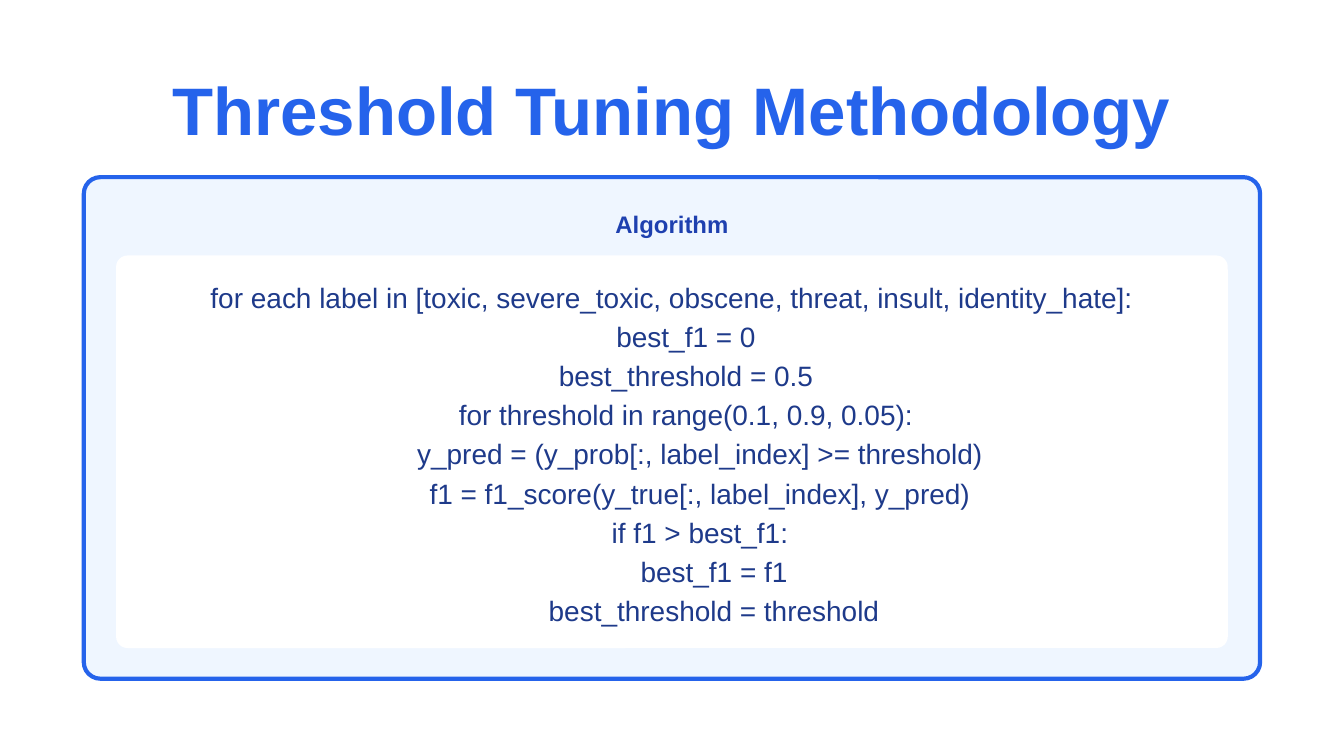
import pptx
import pptx.util
import pptx.dml.color
import pptx.enum.shapes
import pptx.enum.text
from lxml import etree

Cm, Pt = pptx.util.Cm, pptx.util.Pt

# Content
TITLE = "Threshold Tuning Methodology"
PANEL_HEADING = "Algorithm"
CODE = [  # (indent level, line)
    (0, "for each label in [toxic, severe_toxic, obscene, threat, insult, identity_hate]:"),
    (1, "best_f1 = 0"),
    (1, "best_threshold = 0.5"),
    (1, "for threshold in range(0.1, 0.9, 0.05):"),
    (2, "y_pred = (y_prob[:, label_index] >= threshold)"),
    (2, "f1 = f1_score(y_true[:, label_index], y_pred)"),
    (2, "if f1 > best_f1:"),
    (3, "best_f1 = f1"),
    (3, "best_threshold = threshold"),
]

# Layout in cm; every part is centred across the slide
SLIDE_W, SLIDE_H = 25.4, 14.29
INDENT = 0.53
CODE_LINE = 0.74

BLUE, HEADING_BLUE, CODE_BLUE = "2563EB", "1E40AF", "1E3A8A"
PALE_BLUE, WHITE = "EFF6FF", "FFFFFF"


def color(hex_value):
    return pptx.dml.color.RGBColor.from_string(hex_value)


def centred(top, width, height):
    return Cm((SLIDE_W - width) / 2), Cm(top), Cm(width), Cm(height)


def place(part, top, width, height):
    part.left, part.top, part.width, part.height = centred(top, width, height)


def prepare(frame):
    frame.margin_left = frame.margin_right = frame.margin_top = frame.margin_bottom = 0
    frame.word_wrap = True
    frame.auto_size = pptx.enum.text.MSO_AUTO_SIZE.NONE
    frame.vertical_anchor = pptx.enum.text.MSO_ANCHOR.TOP
    return frame


def write(paragraph, text, size, ink, leading, bold=False, indent=0):
    properties = paragraph._p.get_or_add_pPr()
    properties.set("marL", str(Cm(indent)))
    properties.set("indent", "0")
    etree.SubElement(properties, pptx.oxml.ns.qn("a:buNone"))
    paragraph.alignment = pptx.enum.text.PP_ALIGN.CENTER
    paragraph.line_spacing = Pt(leading)
    paragraph.space_before = paragraph.space_after = Pt(0)
    run = paragraph.add_run()
    run.text = text
    run.font.name, run.font.size, run.font.bold = "Arial", Pt(size), bold
    run.font.color.rgb = color(ink)


def add_panel(slide, top, width, height, fill, corner, border=None):
    panel = slide.shapes.add_shape(
        pptx.enum.shapes.MSO_SHAPE.ROUNDED_RECTANGLE, *centred(top, width, height))
    panel.adjustments[0] = corner
    panel.shadow.inherit = False
    panel.fill.solid()
    panel.fill.fore_color.rgb = color(fill)
    if border:
        panel.line.color.rgb = color(border)
        panel.line.width = Pt(2.25)
    else:
        panel.line.fill.background()


def main():
    deck = pptx.Presentation()
    deck.slide_width, deck.slide_height = Cm(SLIDE_W), Cm(SLIDE_H)
    slide = deck.slides.add_slide(deck.slide_layouts[1])
    title, code = slide.placeholders

    # Title
    place(title, 1.55, 19.28, 1.27)
    write(prepare(title.text_frame).paragraphs[0], TITLE, 36, BLUE, 36, bold=True)

    # Panels and heading
    add_panel(slide, 3.35, 22.23, 9.48, PALE_BLUE, 0.033, border=BLUE)
    heading = slide.shapes.add_textbox(*centred(3.96, 21.44, 0.53))
    write(prepare(heading.text_frame).paragraphs[0], PANEL_HEADING, 12.8,
          HEADING_BLUE, 15.3, bold=True)
    add_panel(slide, 4.83, 21.01, 7.42, WHITE, 0.029)

    # Code, brought in front of the panels
    place(code, 5.19, 20.68, CODE_LINE * len(CODE))
    code.element.getparent().append(code.element)
    frame = prepare(code.text_frame)
    for number, (level, line) in enumerate(CODE):
        paragraph = frame.add_paragraph() if number else frame.paragraphs[0]
        write(paragraph, line, 15, CODE_BLUE, 21, indent=level * INDENT)

    deck.save("out.pptx")


if __name__ == "__main__":
    main()
